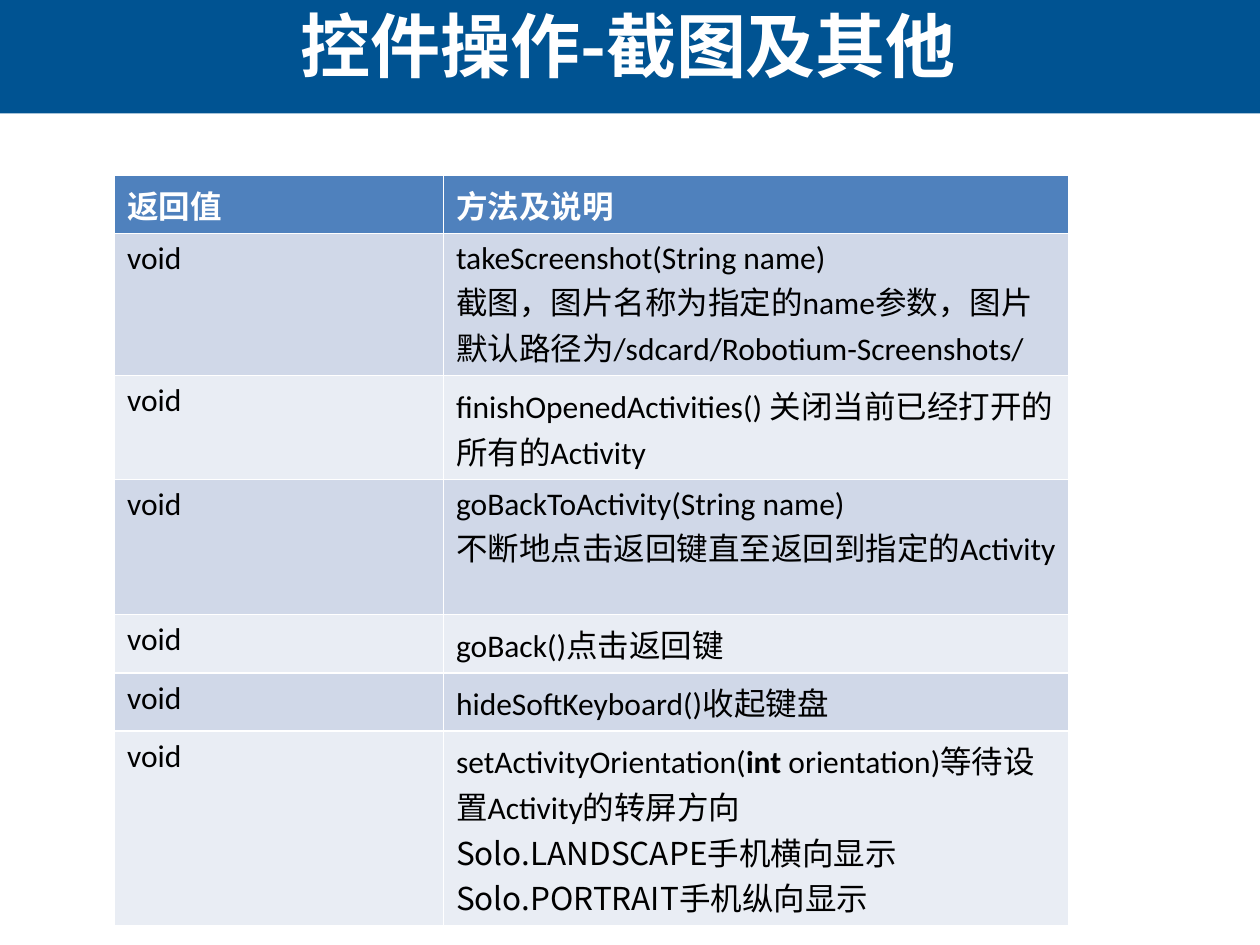
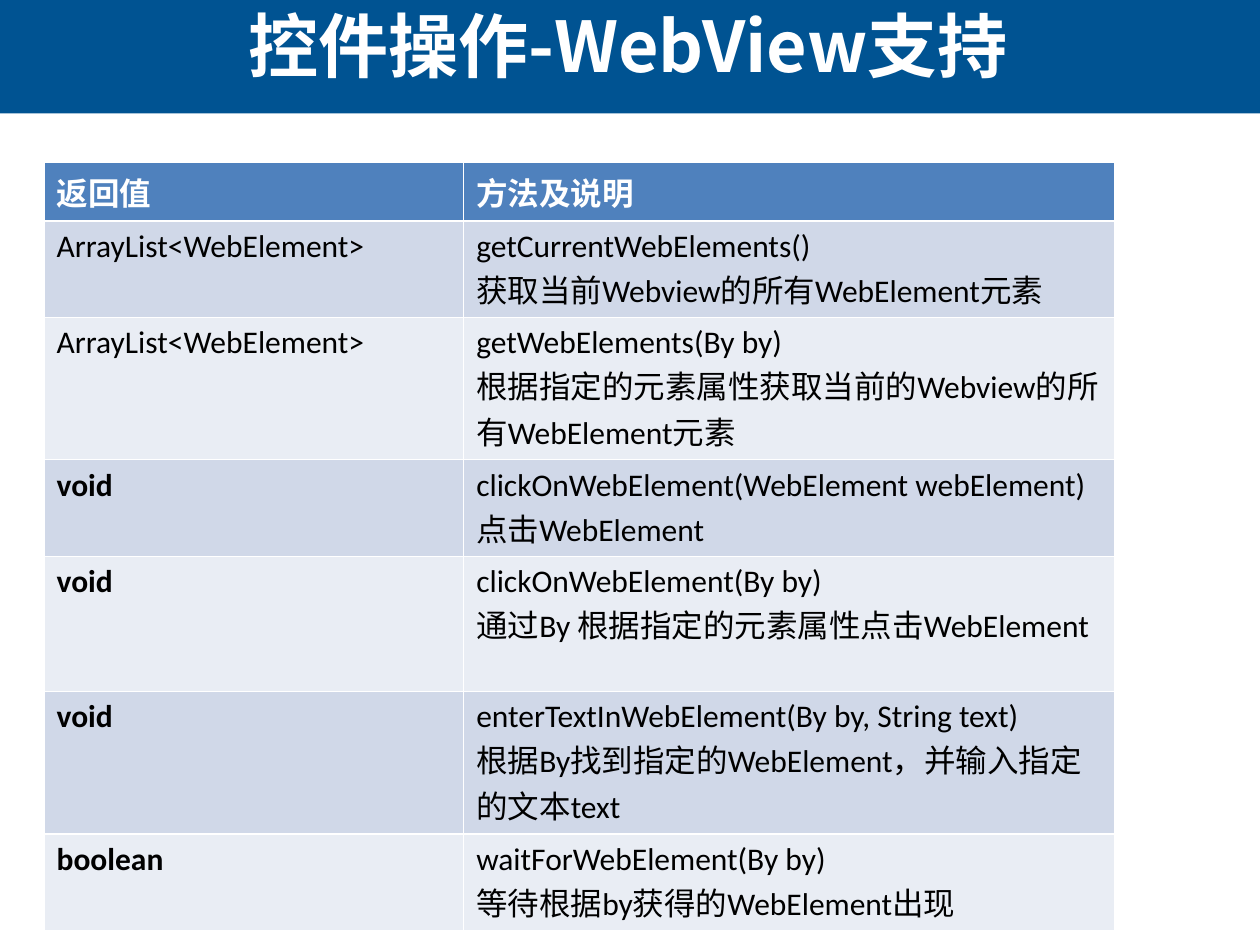
from lxml.etree import SubElement
from pptx import Presentation
from pptx.dml.color import RGBColor
from pptx.enum.shapes import MSO_SHAPE as Shape
from pptx.enum.text import MSO_ANCHOR as Anchor, PP_ALIGN as Align
from pptx.oxml.ns import qn
from pptx.util import Inches, Pt

NAVY = RGBColor(0x00, 0x53, 0x92)
BLUE = RGBColor(0x4F, 0x81, 0xBD)
DARK = RGBColor(0xD0, 0xD8, 0xE8)
PALE = RGBColor(0xE9, 0xED, 0xF4)
WHITE = RGBColor(0xFF, 0xFF, 0xFF)
BLACK = RGBColor(0x00, 0x00, 0x00)
LATIN = "Calibri"
HAN = "Noto Sans CJK SC"
ROW = 0.41

HEAD = ("返回值", ["方法及说明"])

# Rows: return type, lines of the description; ** marks bold words
TOOLS = [
    ("void", ["takeScreenshot(String name)",
              "截图，图片名称为指定的name参数，图片默认路径为/sdcard/Robotium-Screenshots/"]),
    ("void", ["finishOpenedActivities() 关闭当前已经打开的所有的Activity"]),
    ("void", ["goBackToActivity(String name)",
              "不断地点击返回键直至返回到指定的Activity"]),
    ("void", ["goBack()点击返回键"]),
    ("void", ["hideSoftKeyboard()收起键盘"]),
    ("void", ["setActivityOrientation(**int **orientation)等待设置Activity的转屏方向",
              "Solo.LANDSCAPE手机横向显示",
              "Solo.PORTRAIT手机纵向显示"]),
]
WEB = [
    ("ArrayList<WebElement>", ["getCurrentWebElements()",
                               "获取当前Webview的所有WebElement元素"]),
    ("ArrayList<WebElement>", ["getWebElements(By by)",
                               "根据指定的元素属性获取当前的Webview的所有WebElement元素"]),
    ("**void**", ["clickOnWebElement(WebElement webElement)",
                  "点击WebElement"]),
    ("**void**", ["clickOnWebElement(By by)",
                  "通过By 根据指定的元素属性点击WebElement"]),
    ("**void**", ["enterTextInWebElement(By by, String text)",
                  "根据By找到指定的WebElement，并输入指定的文本text"]),
    ("**boolean**", ["waitForWebElement(By by)",
                     "等待根据by获得的WebElement出现"]),
]


def write(para, text, size=18, color=BLACK, bold=False, face=LATIN, align=None):
    """Fill a paragraph; text between ** marks turns bold."""
    para.alignment = align
    for i, part in enumerate(text.split("**")):
        if not part:
            continue
        run = para.add_run()
        run.text = part
        font = run.font
        font.size, font.name = Pt(size), face
        font.bold = bold or i % 2 == 1
        font.color.rgb = color
        SubElement(font._element, qn("a:ea"), typeface=HAN)


def set_frame(layout, slide):
    """Put the band and the title box on the shared layout."""
    band = slide.shapes.add_shape(Shape.RECTANGLE, 0, 0, Inches(10), Inches(0.9))
    band.shadow.inherit = False
    band.fill.solid()
    band.fill.fore_color.rgb = NAVY
    band.line.fill.background()
    layout.element.cSld.spTree.insert(2, band.element)

    title = layout.placeholders[0]
    title.left, title.top = Inches(-0.03), Inches(-0.18)
    title.width, title.height = Inches(10.03), Inches(1.07)
    title.text_frame.vertical_anchor = Anchor.MIDDLE


def add_title(slide, text):
    para = slide.shapes.title.text_frame.paragraphs[0]
    write(para, text, size=40, color=WHITE, bold=True, face=HAN, align=Align.CENTER)


def fill_cell(cell, lines, fill, **style):
    cell.fill.solid()
    cell.fill.fore_color.rgb = fill
    frame = cell.text_frame
    for i, line in enumerate(lines):
        para = frame.add_paragraph() if i else frame.paragraphs[0]
        face = HAN if line.startswith("Solo.") else LATIN
        write(para, line, face=face, **style)


def add_grid(slide, left, top, widths, items):
    """Table of methods with a header and two-tone rows."""
    rows = [HEAD] + items
    grid = slide.shapes.add_table(len(rows), 2, Inches(left), Inches(top),
                                  Inches(sum(widths)), Inches(ROW * len(rows))).table
    for col, width in zip(grid.columns, widths):
        col.width = Inches(width)
    for i, (kind, lines) in enumerate(rows):
        grid.rows[i].height = Inches(ROW)
        fill = DARK if i % 2 else PALE
        style = {}
        if i == 0:
            fill, style = BLUE, {"color": WHITE, "bold": True}
        fill_cell(grid.cell(i, 0), [kind], fill, **style)
        fill_cell(grid.cell(i, 1), lines, fill, **style)


def main():
    deck = Presentation()
    deck.slide_width, deck.slide_height = Inches(10), Inches(7.5)
    layout = deck.slide_layouts[5]

    # Screenshots and other calls
    tools = deck.slides.add_slide(layout)
    set_frame(layout, tools)
    add_title(tools, "控件操作-截图及其他")
    add_grid(tools, 0.91, 1.39, (2.61, 4.96), TOOLS)

    # WebView calls
    web = deck.slides.add_slide(layout)
    add_title(web, "控件操作-WebView支持")
    add_grid(web, 0.35, 1.29, (3.33, 5.17), WEB)

    deck.save("out.pptx")


if __name__ == "__main__":
    main()
